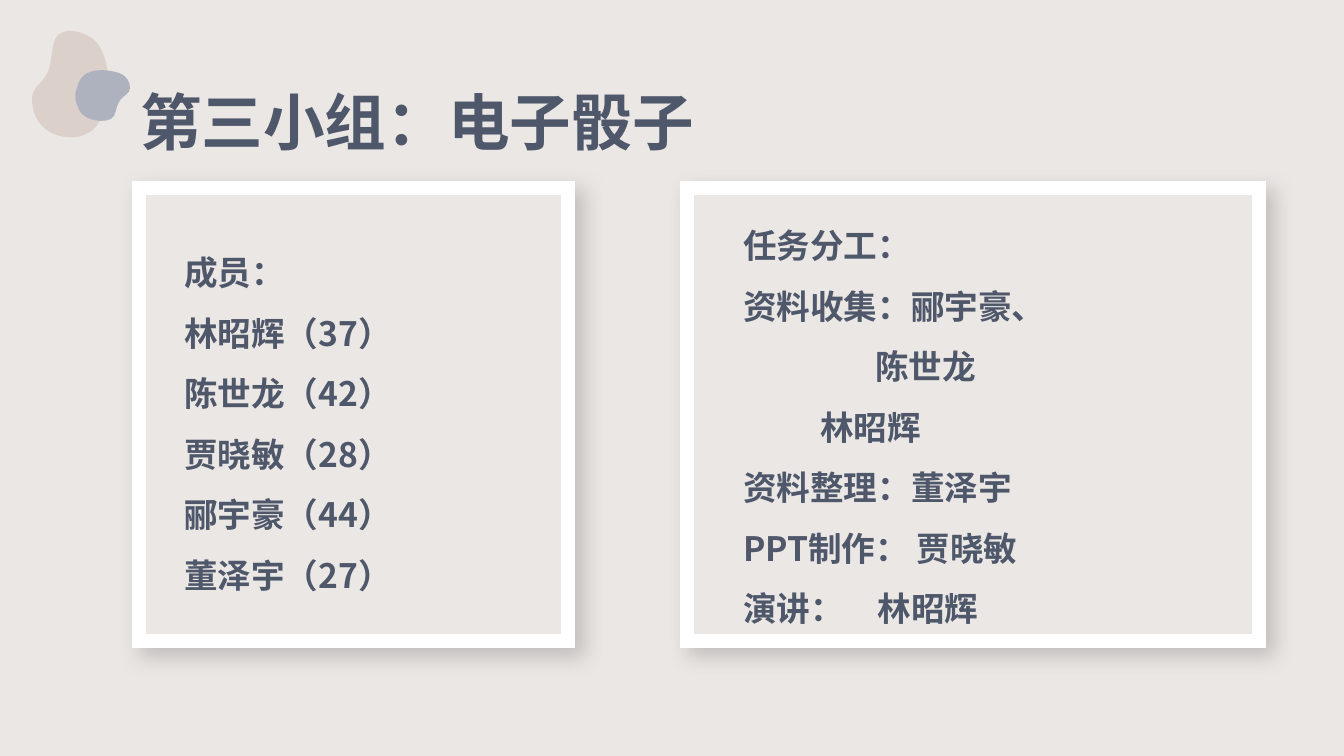
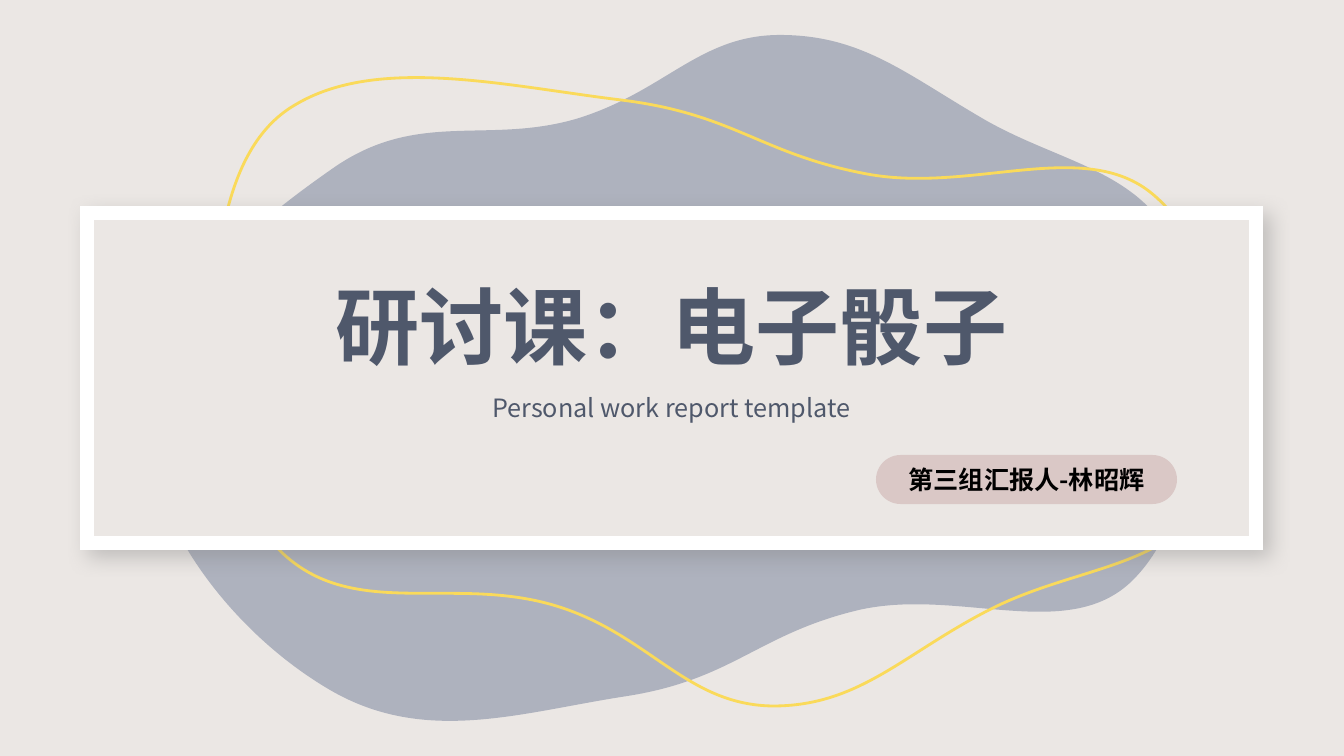
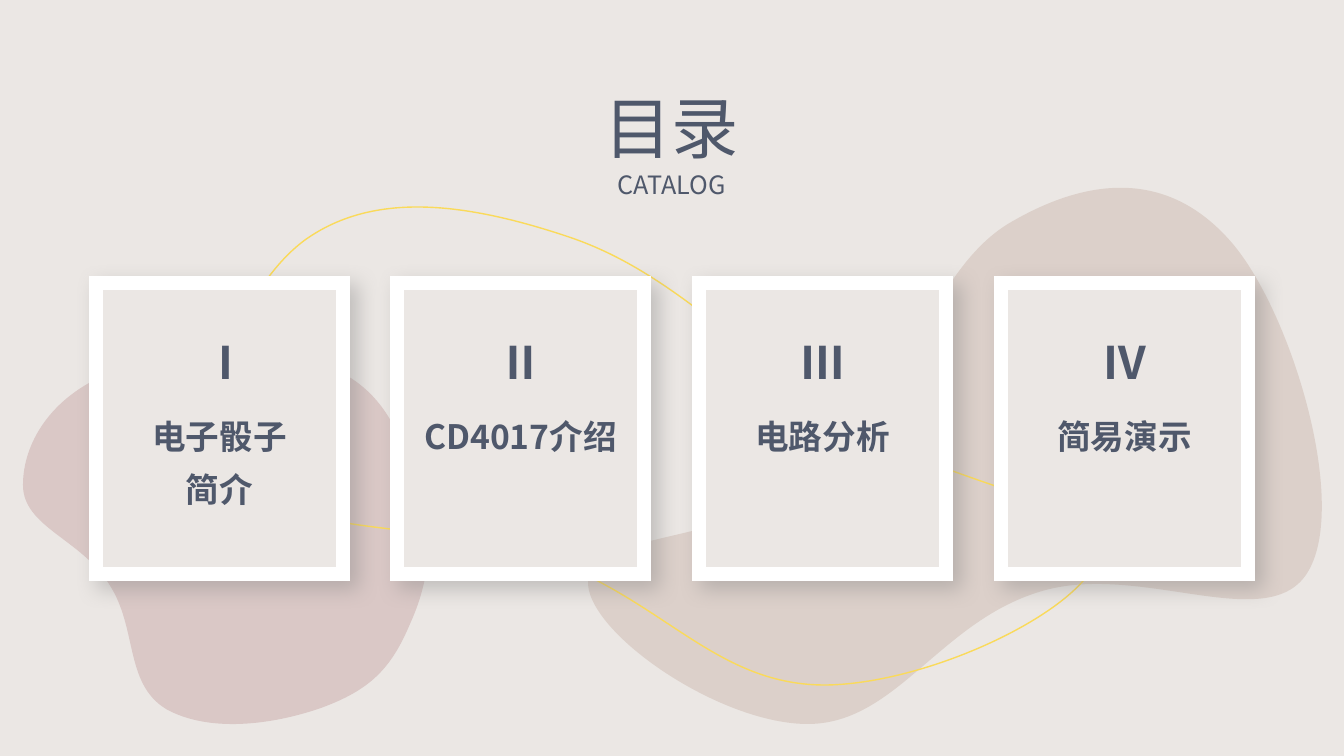
"""Builds a three-slide deck on an electronic dice seminar."""
from dataclasses import dataclass

from lxml import etree
from pptx import Presentation
from pptx import util as u
from pptx.dml.color import RGBColor
from pptx.enum import shapes, text
from pptx.oxml.ns import qn

WIDTH, HEIGHT = 1344, 756
SCALE = 12192000 / WIDTH
STEPS = 32
SANS, SANS_JP = "Noto Sans CJK SC", "Noto Sans CJK JP"
COLORS = {
    "paper": "EBE7E4", "ink": "4F586B", "white": "FFFFFF", "black": "000000",
    "sand": "DCD0CA", "slate": "AEB2BE", "rose": "DAC8C6", "yellow": "FADA5A",
    "shadow": "808080",
}
LEFT, CENTER, JUSTIFY = (
    text.PP_ALIGN.LEFT, text.PP_ALIGN.CENTER, text.PP_ALIGN.JUSTIFY)
FIXED, GROW = text.MSO_AUTO_SIZE.NONE, text.MSO_AUTO_SIZE.SHAPE_TO_FIT_TEXT


@dataclass(frozen=True)
class Box:
    x: int
    y: int
    w: int
    h: int


@dataclass(frozen=True)
class Style:
    size: int
    bold: bool = True
    align: text.PP_ALIGN = CENTER
    spacing: float = 1.0
    font: str = SANS
    color: str = "ink"
    anchor: text.MSO_ANCHOR = text.MSO_ANCHOR.TOP
    wrap: bool = True
    fit: text.MSO_AUTO_SIZE = GROW


@dataclass(frozen=True)
class Line:
    text: str
    indent: int = 0
    size: int = 0


@dataclass(frozen=True)
class Curve:
    start: tuple
    segments: tuple
    fill: str = ""
    line_width: int = 0


@dataclass(frozen=True)
class Card:
    numeral: str
    label: tuple
    numeral_shift: int = 0


LIST = Style(24, align=JUSTIFY, spacing=1.5)
HEADING = Style(44, align=LEFT, spacing=1.3)
COVER_TITLE = Style(60)
COVER_SUBTITLE = Style(18, bold=False)
CATALOG_TITLE = Style(48, bold=False, spacing=1.1, font=SANS_JP)
PILL = Style(18, color="black", anchor=text.MSO_ANCHOR.MIDDLE, fit=FIXED)
NUMERAL = Style(32, wrap=False)
LABEL = Style(24, spacing=1.3)

MEMBERS = (
    Line("成员："), Line("林昭辉（37）"), Line("陈世龙（42）"),
    Line("贾晓敏（28）"), Line("郦宇豪（44）"), Line("董泽宇（27）"),
)
TASKS = (
    Line("任务分工："), Line("资料收集：郦宇豪、"),
    Line("陈世龙", indent=132), Line("林昭辉", indent=77),
    Line("资料整理：董泽宇"), Line("PPT制作： 贾晓敏"),
    Line("演讲：　林昭辉"),
)
CARDS = (
    Card("Ⅰ", (Line("电子骰子"), Line("简介")), 6),
    Card("Ⅱ", (Line("CD4017介绍"),)),
    Card("Ⅲ", (Line("电路分析"),)),
    Card("Ⅳ", (Line("简易演示"),)),
)

SMALL_SAND = Curve((106, 100), (
    (110, 85, 109, 73, 105, 59), (101, 47, 97, 40, 88, 36),
    (79, 31, 67, 28, 58, 35), (51, 42, 53, 58, 48, 72),
    (42, 84, 32, 87, 32, 99), (32, 111, 37, 124, 48, 131),
    (59, 138, 77, 140, 88, 133), (100, 127, 103, 114, 106, 100),
), fill="sand")
SMALL_SLATE = Curve((77, 88), (
    (74, 95, 75, 101, 78, 107), (80, 113, 83, 116, 90, 119),
    (96, 121, 105, 122, 111, 119), (117, 115, 115, 108, 119, 102),
    (123, 95, 130, 94, 130, 88), (130, 82, 127, 76, 119, 73),
    (110, 70, 98, 69, 90, 72), (81, 75, 79, 81, 77, 88),
), fill="slate")
COVER_SLATE = Curve((146, 417), (
    (146, 313, 246, 229, 332, 169), (417, 109, 486, 145, 576, 119),
    (665, 92, 699, 35, 780, 35), (863, 35, 907, 75, 987, 121),
    (1067, 166, 1152, 172, 1182, 263), (1212, 355, 1201, 508, 1136, 577),
    (1072, 646, 961, 587, 859, 610), (758, 634, 734, 679, 628, 696),
    (522, 712, 426, 746, 330, 690), (234, 634, 146, 522, 146, 417),
), fill="slate")
COVER_LOOP = Curve((207, 340), (
    (219, 383, 224, 510, 293, 562), (363, 616, 457, 577, 553, 605),
    (649, 633, 685, 705, 773, 706), (861, 706, 905, 652, 993, 608),
    (1082, 564, 1179, 568, 1212, 485), (1244, 403, 1226, 259, 1156, 197),
    (1088, 135, 974, 194, 867, 174), (760, 154, 735, 114, 621, 100),
    (506, 86, 378, 55, 295, 105), (212, 153, 218, 296, 207, 344),
), line_width=2)
CATALOG_SAND = Curve((588, 580), (
    (591, 530, 736, 546, 822, 475), (906, 402, 930, 267, 1013, 221),
    (1095, 174, 1172, 173, 1232, 243), (1291, 312, 1348, 500, 1309, 570),
    (1271, 639, 1140, 560, 1039, 592), (938, 623, 895, 726, 805, 724),
    (715, 722, 584, 630, 588, 580),
), fill="sand")
CATALOG_ROSE = Curve((417, 484), (
    (435, 535, 430, 580, 410, 624), (391, 669, 370, 690, 321, 708),
    (272, 725, 209, 733, 166, 709), (124, 683, 138, 628, 109, 584),
    (81, 539, 23, 527, 23, 485), (23, 444, 50, 397, 110, 373),
    (169, 349, 260, 342, 322, 364), (383, 386, 399, 431, 417, 484),
), fill="rose")
CATALOG_LOOP = Curve((1098, 553), (
    (1103, 501, 962, 490, 856, 427), (751, 364, 679, 274, 569, 237),
    (459, 200, 371, 193, 305, 240), (240, 288, 193, 413, 241, 477),
    (289, 540, 430, 518, 548, 559), (665, 601, 717, 686, 827, 685),
    (936, 683, 1092, 605, 1098, 553),
), line_width=1)


def px(n: float) -> int:
    """Turn pixels into EMU."""
    return round(n * SCALE)


def rgb(name: str) -> RGBColor:
    """Look up a named colour."""
    return RGBColor.from_string(COLORS[name])


def emu(box: Box) -> tuple:
    """Return a box as left, top, width and height in EMU."""
    return tuple(px(n) for n in (box.x, box.y, box.w, box.h))


def add_xml(parent, tag: str, **attrs):
    """Append a DrawingML element with the given attributes."""
    return etree.SubElement(
        parent, qn(f"a:{tag}"), {k: str(v) for k, v in attrs.items()})


def write(sp, lines: tuple, style: Style) -> None:
    """Fill a shape with formatted lines."""
    tf = sp.text_frame
    tf.word_wrap = style.wrap
    tf.auto_size = style.fit
    tf.vertical_anchor = style.anchor
    for i, line in enumerate(lines):
        p = tf.add_paragraph() if i else tf.paragraphs[0]
        pPr = p._p.get_or_add_pPr()
        pPr.set("marL", str(px(line.indent)))
        pPr.set("indent", "0")
        add_xml(pPr, "buNone")
        p.alignment = style.align
        p.line_spacing = style.spacing
        p.space_before = u.Pt(0)
        r = p.add_run()
        r.text = line.text
        r.font.size = u.Pt(line.size or style.size)
        r.font.bold = style.bold
        r.font.name = style.font
        r.font.color.rgb = rgb(style.color)
        add_xml(r._r.get_or_add_rPr(), "ea", typeface=style.font)


def fill_placeholder(sp, box: Box, lines: tuple, style: Style) -> None:
    """Move a placeholder to the front, place it and write in it."""
    sp.element.getparent().append(sp.element)
    sp.left, sp.top, sp.width, sp.height = emu(box)
    write(sp, lines, style)


def add_text(slide, box: Box, lines: tuple, style: Style) -> None:
    """Add a text box."""
    write(slide.shapes.add_textbox(*emu(box)), lines, style)


def add_frame(slide, box: Box) -> None:
    """Add a white-bordered panel with a soft shadow."""
    sp = slide.shapes.add_shape(shapes.MSO_SHAPE.RECTANGLE, *emu(box))
    sp.fill.solid()
    sp.fill.fore_color.rgb = rgb("paper")
    sp.line.color.rgb = rgb("white")
    sp.line.width = u.Pt(10)
    sp.shadow.inherit = False
    spPr = sp.element.spPr
    add_xml(spPr.find(qn("a:ln")), "miter", lim=800000)
    shadow = add_xml(spPr.find(qn("a:effectLst")), "outerShdw",
                     blurRad=u.Pt(15), dist=u.Pt(8), dir=45 * 60000,
                     algn="tl", rotWithShape=0)
    color = add_xml(shadow, "srgbClr", val=COLORS["shadow"])
    add_xml(color, "alpha", val=40000)


def add_pill(slide, box: Box, line: Line) -> None:
    """Add a fully rounded label."""
    sp = slide.shapes.add_shape(shapes.MSO_SHAPE.ROUNDED_RECTANGLE, *emu(box))
    sp.adjustments[0] = 0.5
    sp.fill.solid()
    sp.fill.fore_color.rgb = rgb("rose")
    sp.line.fill.background()
    sp.shadow.inherit = False
    write(sp, (line,), PILL)


def bounds(curve: Curve) -> tuple:
    """Return the left, top, right and bottom of a curve in EMU."""
    points, (x0, y0) = [curve.start], curve.start
    for x1, y1, x2, y2, x3, y3 in curve.segments:
        for n in range(1, STEPS + 1):
            t = n / STEPS
            s = 1 - t
            a, b, c, d = s ** 3, 3 * s * s * t, 3 * s * t * t, t ** 3
            points.append((a * x0 + b * x1 + c * x2 + d * x3,
                           a * y0 + b * y1 + c * y2 + d * y3))
        x0, y0 = x3, y3
    xs, ys = zip(*points)
    return px(min(xs)), px(min(ys)), px(max(xs)), px(max(ys))


def add_curve(slide, curve: Curve) -> None:
    """Add a filled blob or an outlined loop made of Bezier segments."""
    left, top, right, bottom = bounds(curve)
    builder = slide.shapes.build_freeform(left, top)
    builder.add_line_segments([(right, bottom)], close=False)
    sp = builder.convert_to_shape()
    outline = next(sp.element.spPr.iter(qn("a:path")))
    for child in list(outline):
        outline.remove(child)

    def add_points(tag: str, values: tuple) -> None:
        """Append one drawing step with its points."""
        step = add_xml(outline, tag)
        for x, y in zip(values[::2], values[1::2]):
            add_xml(step, "pt", x=px(x) - left, y=px(y) - top)

    add_points("moveTo", curve.start)
    for segment in curve.segments:
        add_points("cubicBezTo", segment)
    if curve.segments[-1][4:] == curve.start:
        add_xml(outline, "close")
    sp.shadow.inherit = False
    if curve.fill:
        sp.fill.solid()
        sp.fill.fore_color.rgb = rgb(curve.fill)
        sp.line.fill.background()
    else:
        sp.fill.background()
        sp.line.color.rgb = rgb("yellow")
        sp.line.width = u.Pt(curve.line_width)


def add_slide(prs, layout: int, curves: tuple):
    """Add a slide with its background curves."""
    slide = prs.slides.add_slide(prs.slide_layouts[layout])
    for curve in curves:
        add_curve(slide, curve)
    return slide


def build_team(prs) -> None:
    """Build the slide of members and tasks."""
    slide = add_slide(prs, 3, (SMALL_SAND, SMALL_SLATE))
    title, members, tasks = slide.placeholders
    fill_placeholder(title, Box(130, 57, 604, 94),
                     (Line("第三小组：电子骰子"),), HEADING)
    add_frame(slide, Box(687, 188, 572, 453))
    fill_placeholder(tasks, Box(733, 200, 478, 428), TASKS, LIST)
    add_frame(slide, Box(139, 188, 429, 453))
    fill_placeholder(members, Box(174, 227, 359, 367), MEMBERS, LIST)


def build_cover(prs) -> None:
    """Build the cover slide."""
    slide = add_slide(prs, 0, (COVER_SLATE, COVER_LOOP))
    title, subtitle = slide.placeholders
    add_frame(slide, Box(87, 213, 1169, 330))
    fill_placeholder(title, Box(286, 269, 771, 112),
                     (Line("研讨课：电子骰子"),), COVER_TITLE)
    fill_placeholder(subtitle, Box(406, 387, 531, 40),
                     (Line("Personal work report template"),), COVER_SUBTITLE)
    add_pill(slide, Box(876, 455, 301, 49), Line("第三组汇报人-林昭辉"))


def build_catalog(prs) -> None:
    """Build the contents slide with its four cards."""
    slide = add_slide(prs, 5, (CATALOG_SAND, CATALOG_ROSE, CATALOG_LOOP))
    fill_placeholder(slide.shapes.title, Box(587, 73, 169, 133),
                     (Line("目录"), Line("CATALOG", size=18)), CATALOG_TITLE)
    first, span, card_w, numeral_w, label_w = 96, 905, 247, 65, 223
    for i, card in enumerate(CARDS):
        x = first + i * span // (len(CARDS) - 1)
        add_frame(slide, Box(x, 283, card_w, 291))
        numeral_x = x + (card_w - numeral_w) // 2 + card.numeral_shift
        add_text(slide, Box(numeral_x, 330, numeral_w, 65),
                 (Line(card.numeral),), NUMERAL)
        add_text(slide, Box(x + (card_w - label_w) // 2, 399, label_w,
                            10 + 53 * len(card.label)), card.label, LABEL)


def main() -> None:
    """Build and save the deck."""
    prs = Presentation()
    prs.slide_width, prs.slide_height = px(WIDTH), px(HEIGHT)
    fill = prs.slide_master.background.fill
    fill.solid()
    fill.fore_color.rgb = rgb("paper")
    build_team(prs)
    build_cover(prs)
    build_catalog(prs)
    prs.save("out.pptx")


if __name__ == "__main__":
    main()
